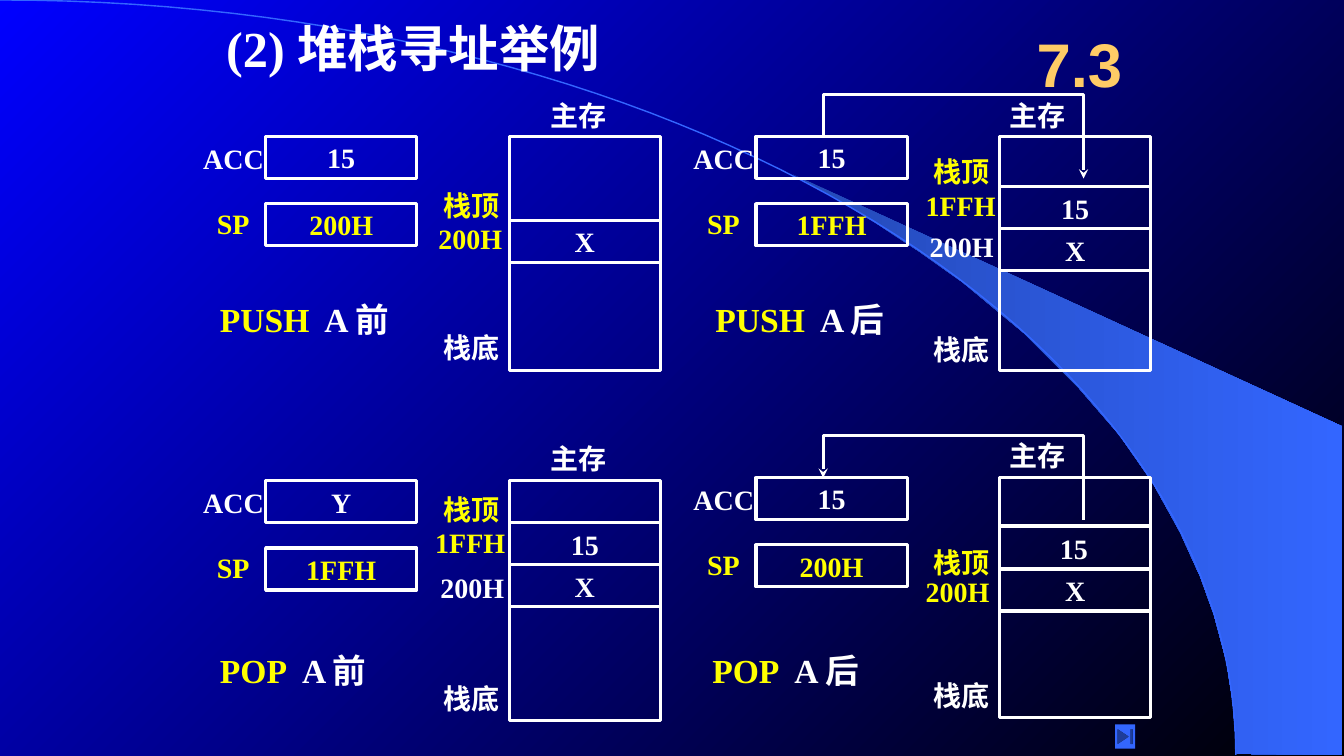
from lxml import etree
from pptx import Presentation
from pptx.dml.color import RGBColor
from pptx.enum.shapes import MSO_CONNECTOR, MSO_SHAPE
from pptx.enum.text import MSO_ANCHOR, MSO_AUTO_SIZE, PP_ALIGN
from pptx.oxml.ns import qn
from pptx.util import Pt

PX = 9525
WHITE = RGBColor(0xFF, 0xFF, 0xFF)
YELLOW = RGBColor(0xFF, 0xFF, 0x00)
ORANGE = RGBColor(0xFF, 0xCC, 0x66)
BLUE = RGBColor(0x00, 0x00, 0xFF)
BLACK = RGBColor(0x00, 0x00, 0x00)
SKY = RGBColor(0x33, 0x66, 0xFF)
DEEP_SKY = RGBColor(0x24, 0x49, 0xB6)
RECT = MSO_SHAPE.RECTANGLE
BUTTON_END = MSO_SHAPE.ACTION_BUTTON_END
STRAIGHT = MSO_CONNECTOR.STRAIGHT
CENTER = PP_ALIGN.CENTER
MIDDLE = MSO_ANCHOR.MIDDLE
FIT_SHAPE = MSO_AUTO_SIZE.SHAPE_TO_FIT_TEXT
SERIF = "Times New Roman"

BOX_W, BOX_H = 144, 40
MEMORY_DX = 232
LABEL_SIZES = {"ACC": (78, 41), "SP": (51, 41), "200H": (80, 41), "1FFH": (86, 41)}
CJK_LABEL = (74, 42)

BAND = [(1178, 718), (1278, 719), (1278, 406), (755, 166), (799, 191), (835, 213),
        (876, 240), (917, 269), (975, 317), (1027, 369), (1066, 414), (1098, 460),
        (1124, 507), (1143, 549), (1156, 585), (1168, 630), (1174, 668), (1178, 718)]
ARC_CONTROLS = [(0, 0), (650, 0), (1177, 322), (1177, 719)]
ARC_STEPS = 60

# x, y, ACC, SP, memory height, memory title (dx, dy), cells (text, dy),
# labels (text, dx, dy, colour)
PANELS = [
    (253, 130, "15", "200H", 223, (262, -41), [("X", 80)],
     [("栈顶", 160, 45, YELLOW), ("200H", 155, 76, YELLOW), ("栈底", 160, 180, WHITE)]),
    (720, 130, "15", "1FFH", 223, (232, -41), [("15", 48), ("X", 88)],
     [("栈顶", 160, 12, YELLOW), ("1FFH", 152, 45, YELLOW),
      ("200H", 156, 84, WHITE), ("栈底", 160, 182, WHITE)]),
    (253, 458, "Y", "1FFH", 228, (262, -42), [("15", 40), ("X", 80)],
     [("栈顶", 160, 6, YELLOW), ("1FFH", 152, 38, YELLOW),
      ("200H", 157, 81, WHITE), ("栈底", 160, 186, WHITE)]),
    (720, 455, "15", "200H", 228, (232, -42), [("X", 87)],
     [("栈顶", 160, 60, YELLOW), ("200H", 152, 87, YELLOW), ("栈底", 160, 186, WHITE)]),
]

# x, y, width, instruction, operand and moment
CAPTIONS = [
    (200, 280, 184, "PUSH", "  A 前"),
    (672, 280, 184, "PUSH", "  A 后"),
    (200, 614, 162, "POP", "  A 前"),
    (669, 614, 162, "POP", "  A 后"),
]


def emu(*lengths):
    return [round(n * PX) for n in lengths]


def style_font(r, size, color, name=SERIF):
    r.font.size = Pt(size)
    r.font.name = name
    r.font.bold = True
    r.font.color.rgb = color


def style_line(sp, color, width):
    sp.line.color.rgb = color
    sp.line.width = Pt(width)


def set_gradient(fill, start, end, angle):
    fill.gradient()
    fill.gradient_angle = angle
    for stop, color in zip(fill.gradient_stops, (start, end)):
        stop.color.rgb = color


def add_text(slide, x, y, w, h, runs, size, wrap=True):
    """Add a one-paragraph text box from (text, colour) runs."""
    sp = slide.shapes.add_textbox(*emu(x, y, w, h))
    tf = sp.text_frame
    tf.word_wrap = wrap
    tf.auto_size = FIT_SHAPE
    for text, color in runs:
        r = tf.paragraphs[0].add_run()
        r.text = text
        style_font(r, size, color)
    return sp


def add_label(slide, x, y, text, color):
    w, h = LABEL_SIZES.get(text, CJK_LABEL)
    add_text(slide, x, y, w, h, [(text, color)], 20, wrap=False)


def add_box(slide, x, y, text="", color=WHITE, h=BOX_H):
    sp = slide.shapes.add_shape(RECT, *emu(x, y, BOX_W, h))
    sp.shadow.inherit = False
    sp.fill.background()
    style_line(sp, WHITE, 2.25)
    if text:
        tf = sp.text_frame
        tf.text = text
        tf.word_wrap = False
        tf.vertical_anchor = MIDDLE
        p = tf.paragraphs[0]
        p.alignment = CENTER
        style_font(p.runs[0], 20, color)


def add_outline(slide, points, close=False):
    points = [emu(*point) for point in points]
    builder = slide.shapes.build_freeform(*points[0])
    builder.add_line_segments(points[1:], close=close)
    sp = builder.convert_to_shape()
    sp.shadow.inherit = False
    return sp


def add_backdrop(slide):
    set_gradient(slide.background.fill, BLUE, BLACK, 315)
    band = add_outline(slide, BAND, close=True)
    set_gradient(band.fill, DEEP_SKY, SKY, 0)
    band.line.fill.background()

    curve = []
    for i in range(ARC_STEPS + 1):
        t = i / ARC_STEPS
        weights = ((1 - t) ** 3, 3 * t * (1 - t) ** 2, 3 * t ** 2 * (1 - t), t ** 3)
        curve.append([sum(w * c for w, c in zip(weights, axis))
                      for axis in zip(*ARC_CONTROLS)])
    arc = add_outline(slide, curve)
    arc.fill.background()
    style_line(arc, SKY, 1)


def add_panel(slide, x, y, acc, sp_value, memory_h, title, cells, labels):
    """Draw the registers and main memory of one moment."""
    add_box(slide, x, y, acc)
    add_box(slide, x, y + 64, sp_value, YELLOW)
    add_label(slide, x - 69, y, "ACC", WHITE)
    add_label(slide, x - 56, y + 62, "SP", YELLOW)
    add_box(slide, x + MEMORY_DX, y, h=memory_h)
    add_label(slide, x + title[0], y + title[1], "主存", WHITE)
    for text, dy in cells:
        add_box(slide, x + MEMORY_DX, y + dy, text)
    for text, dx, dy, color in labels:
        add_label(slide, x + dx, y + dy, text, color)


def add_transfer(slide, x, y, arrow_end):
    """Draw the bent arrow between ACC and memory; arrow_end is headEnd or tailEnd."""
    left, right, top = x + 64, x + 312, y - 40
    sp = add_outline(slide, [(left, y), (left, top), (right, top), (right, y + 40)])
    sp.fill.background()
    style_line(sp, WHITE, 2.25)
    etree.SubElement(sp.line._get_or_add_ln(), qn("a:" + arrow_end), type="stealth")


def add_rule(slide, x, y, w):
    line = slide.shapes.add_connector(STRAIGHT, *emu(x, y, x + w, y))
    style_line(line, WHITE, 2.25)
    etree.SubElement(line._element.spPr, qn("a:effectLst"))


def add_section_number(slide):
    tf = slide.shapes.add_textbox(*emu(968, 16, 120, 88)).text_frame
    tf.text = "7.3"
    tf.word_wrap = True
    tf.vertical_anchor = MIDDLE
    p = tf.paragraphs[0]
    p.alignment = CENTER
    style_font(p.runs[0], 44, ORANGE, "Arial")


def add_end_button(slide):
    sp = slide.shapes.add_shape(BUTTON_END, *emu(1062, 690, 19, 23))
    sp.shadow.inherit = False
    sp.fill.solid()
    sp.fill.fore_color.rgb = SKY
    sp.line.fill.background()


def main():
    prs = Presentation()
    prs.slide_width, prs.slide_height = emu(1280, 720)
    slide = prs.slides.add_slide(prs.slide_layouts[6])
    add_backdrop(slide)
    add_text(slide, 206, 12, 434, 67, [("(2) 堆栈寻址举例", WHITE)], 36)
    for panel in PANELS:
        add_panel(slide, *panel)
    add_transfer(slide, 720, 130, "tailEnd")
    add_transfer(slide, 720, 455, "headEnd")
    add_rule(slide, 952, 501, BOX_W)
    add_text(slide, 1000, 501, 88, 41, [("15", WHITE)], 20)
    for x, y, w, instruction, rest in CAPTIONS:
        add_text(slide, x, y, w, 48, [(instruction, YELLOW), (rest, WHITE)], 24)
    add_section_number(slide)
    add_end_button(slide)
    prs.save("out.pptx")


if __name__ == "__main__":
    main()
